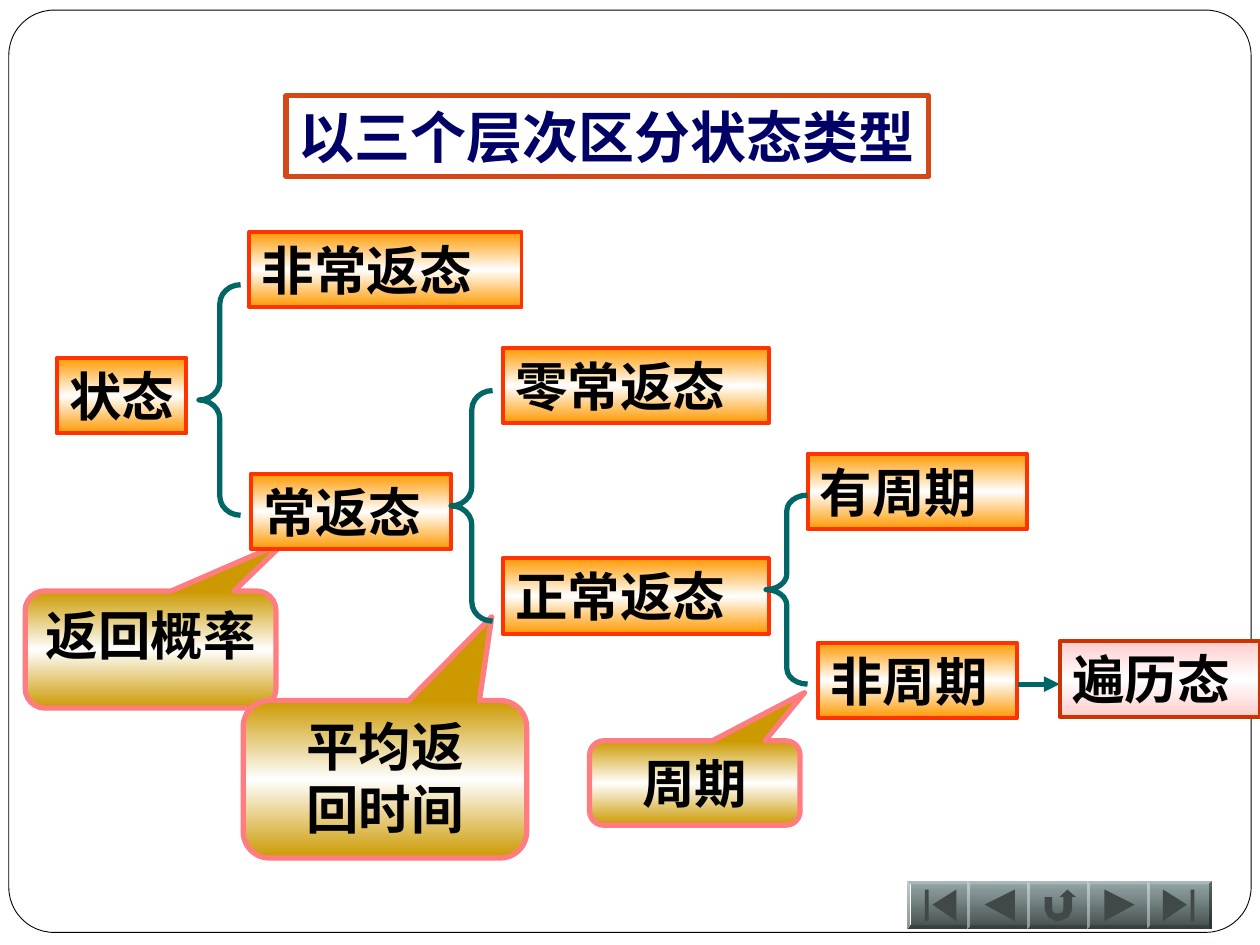
from copy import deepcopy
from dataclasses import dataclass

from pptx import Presentation
from pptx.dml.color import RGBColor as Rgb
from pptx.enum.shapes import MSO_CONNECTOR as Conn, MSO_SHAPE as Kind
from pptx.enum.text import MSO_ANCHOR as Anchor, MSO_AUTO_SIZE as Fit, PP_ALIGN as Align
from pptx.oxml.ns import qn
from pptx.util import Inches, Pt
from lxml.etree import SubElement


@dataclass(frozen=True)
class Theme:
    font: str = "Times New Roman"
    head: int = 32
    body: int = 30
    ink: str = "000000"
    navy: str = "000066"
    rust: str = "D34817"
    teal: str = "006666"
    white: str = "FFFFFF"
    pink: str = "FF7C80"
    icon: str = "404848"
    gold: tuple = ("CC9900", "FFFFFF", "CC9900")
    amber: tuple = ("FF9900", "FFFFFF", "FF9900")
    rose: tuple = ("FFCCCC", "FFFFFF", "FFCCCC")
    steel: tuple = ("96A9A9", "454E4E")
    red: str = "FF3300"
    brick: str = "CC3300"


T = Theme()

# Boxes of the tree: text, left, top, width
NODES = [
    ("状态", 0.45, 2.84, 1.03),
    ("非常返态", 1.98, 1.84, 2.16),
    ("常返态", 1.99, 3.76, 1.59),
    ("零常返态", 3.99, 2.76, 2.11),
    ("正常返态", 3.99, 4.43, 2.11),
    ("有周期", 6.41, 3.6, 1.74),
    ("非周期", 6.49, 5.1, 1.58),
]
# Braces: left, top, height
FORKS = [(1.58, 2.26, 1.83), (3.58, 3.1, 1.83), (6.08, 3.93, 1.5)]
# Callouts: lines, place, tip offset
NOTES = [
    (["返回概率"], (0.2, 4.69, 1.99, 0.93), (0.537, -0.921)),
    (["平均返", "回时间"], (1.93, 5.56, 2.25, 1.25), (0.377, -1.033)),
    (["周期"], (4.68, 5.88, 1.67, 0.67), (0.521, -1.07)),
]
# Button icons: outlines around the button centre
BACK = [(-0.12, 0), (0.12, -0.12), (0.12, 0.13)]
FIRST = [(-0.06, 0), (0.13, -0.12), (0.13, 0.13)]
BAR = [(-0.12, -0.12), (-0.09, -0.12), (-0.09, 0.13), (-0.12, 0.13)]
TURN = [(-0.12, -0.06), (-0.06, -0.06), (-0.06, 0.04), (-0.05, 0.06),
        (-0.03, 0.07), (0, 0.07), (0.02, 0.06), (0.03, 0.04), (0.03, -0.06),
        (0, -0.06), (0.06, -0.12), (0.13, -0.06), (0.1, -0.06), (0.1, 0.04),
        (0.07, 0.1), (0, 0.13), (-0.03, 0.13), (-0.09, 0.1), (-0.12, 0.04)]


def flip(pts):
    return [(-x, y) for x, y in pts]


ICONS = [[FIRST, BAR], [BACK], [TURN], [flip(BACK)], [flip(FIRST), flip(BAR)]]


def apply(obj, vals):
    for key, val in vals.items():
        setattr(obj, key, val)


def paint(shape, fill=None, line=None, width=0):
    """Set a plain or graded fill, and the outline."""
    if fill is None:
        shape.fill.background()
    elif isinstance(fill, str):
        shape.fill.solid()
        shape.fill.fore_color.rgb = Rgb.from_string(fill)
    else:
        shape.fill.gradient()
        shape.fill.gradient_angle = 270
        stops = next(shape.element.iter(qn("a:gsLst")))
        while len(stops) < len(fill):
            stops.append(deepcopy(stops[0]))
        for i, (stop, color) in enumerate(zip(shape.fill.gradient_stops, fill)):
            stop.position = i / (len(fill) - 1)
            stop.color.rgb = Rgb.from_string(color)
    if line:
        shape.line.color.rgb = Rgb.from_string(line)
        shape.line.width = Pt(width)
    else:
        shape.line.fill.background()


def write(shape, lines, align=Align.LEFT, size=T.body, color=T.ink, **frame):
    text = shape.text_frame
    apply(text, {"word_wrap": True, "vertical_anchor": Anchor.TOP,
                 "margin_left": Inches(0.1), "margin_right": Inches(0.1),
                 "margin_top": Inches(0.05), "margin_bottom": Inches(0.05),
                 **frame})
    text.text = "\n".join(lines)
    for para in text.paragraphs:
        para.alignment = align
        for run in para.runs:
            apply(run.font, {"name": T.font, "size": Pt(size), "bold": True})
            run.font.color.rgb = Rgb.from_string(color)


def add(slide, kind, place, adj=(), **look):
    shape = slide.shapes.add_shape(kind, *map(Inches, place))
    shape.shadow.inherit = False
    for i, val in enumerate(adj):
        shape.adjustments[i] = val
    paint(shape, **look)
    return shape


def add_title(slide, text):
    title = slide.shapes.title
    apply(title, {"left": Inches(2.27), "top": Inches(0.76),
                  "width": Inches(5.1), "height": Inches(0.64)})
    paint(title, line=T.rust, width=3)
    # No right margin, so that the line has room to spare
    write(title, [text], size=T.head, color=T.navy,
          margin_right=0, auto_size=Fit.NONE)
    title.element.getparent().append(title.element)  # bring to front


def add_node(slide, text, x, y, w, fill=T.amber, line=T.red):
    box = add(slide, Kind.RECTANGLE, (x, y, w, 0.6),
              fill=fill, line=line, width=2.25)
    write(box, [text], auto_size=Fit.SHAPE_TO_FIT_TEXT)


def add_fork(slide, x, y, h, w=0.33):
    add(slide, Kind.LEFT_BRACE, (x, y, w, h), (h / 12 / w, 0.5),
        line=T.teal, width=3)


def add_note(slide, lines, place, tip):
    note = add(slide, Kind.ROUNDED_RECTANGULAR_CALLOUT, place, (*tip, 0.167),
               fill=T.gold, line=T.pink, width=3)
    write(note, lines, Align.CENTER)


def add_arrow(slide, x, y, end):
    link = slide.shapes.add_connector(
        Conn.STRAIGHT, Inches(x), Inches(y), Inches(end), Inches(y))
    link.line.color.rgb = Rgb.from_string(T.teal)
    link.line.width = Pt(3)
    SubElement(link.element.spPr.find(qn("a:ln")), qn("a:tailEnd"), type="triangle")
    SubElement(link.element.spPr, qn("a:effectLst"))


def add_button(slide, x, y, icon, w=0.52, h=0.38):
    add(slide, Kind.BEVEL, (x, y, w, h), (0.07,), fill=T.steel)
    loops = [[(Inches(x + w / 2 + dx), Inches(y + h / 2 + dy)) for dx, dy in pts]
             for pts in icon]
    path = slide.shapes.build_freeform(*loops[0][0])
    for i, pts in enumerate(loops):
        if i:
            path.move_to(*pts[0])
        path.add_line_segments(pts[1:], close=True)
    sign = path.convert_to_shape()
    sign.shadow.inherit = False
    paint(sign, fill=T.icon)


def main():
    deck = Presentation()
    apply(deck, {"slide_width": Inches(10), "slide_height": Inches(7.5)})
    slide = deck.slides.add_slide(deck.slide_layouts[5])

    # Page frame
    add(slide, Kind.ROUNDED_RECTANGLE, (0.07, 0.08, 9.86, 7.32), (0.049,),
        fill=T.white, line=T.ink, width=0.5)

    # Callouts, then the title
    for note in NOTES:
        add_note(slide, *note)
    add_title(slide, "以三个层次区分状态类型")

    # Tree of states
    for node in NODES:
        add_node(slide, *node)
    for fork in FORKS:
        add_fork(slide, *fork)
    add_arrow(slide, 8.08, 5.43, 8.41)
    add_node(slide, "遍历态", 8.41, 5.09, 1.59, T.rose, T.brick)

    # Navigation buttons
    for i, icon in enumerate(ICONS):
        add_button(slide, 7.2 + 0.475 * i, 6.99, icon)

    deck.save("out.pptx")


if __name__ == "__main__":
    main()
